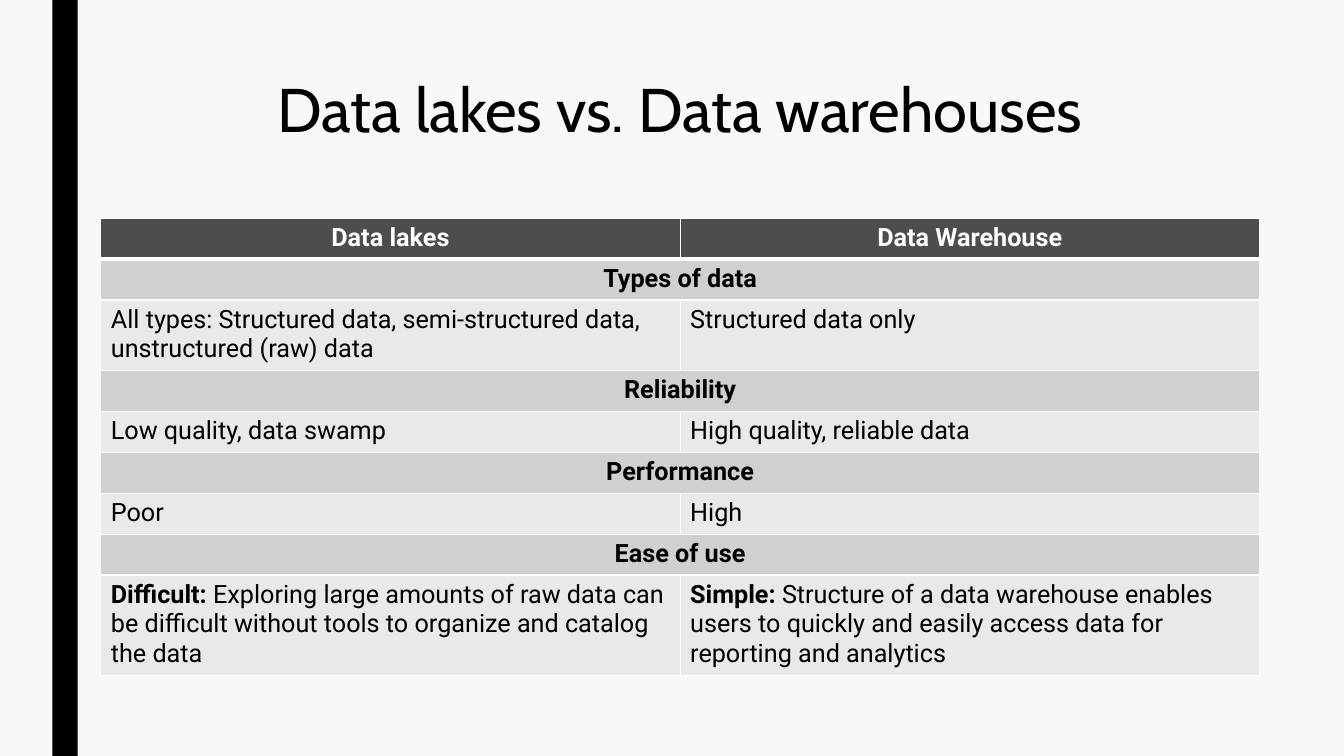
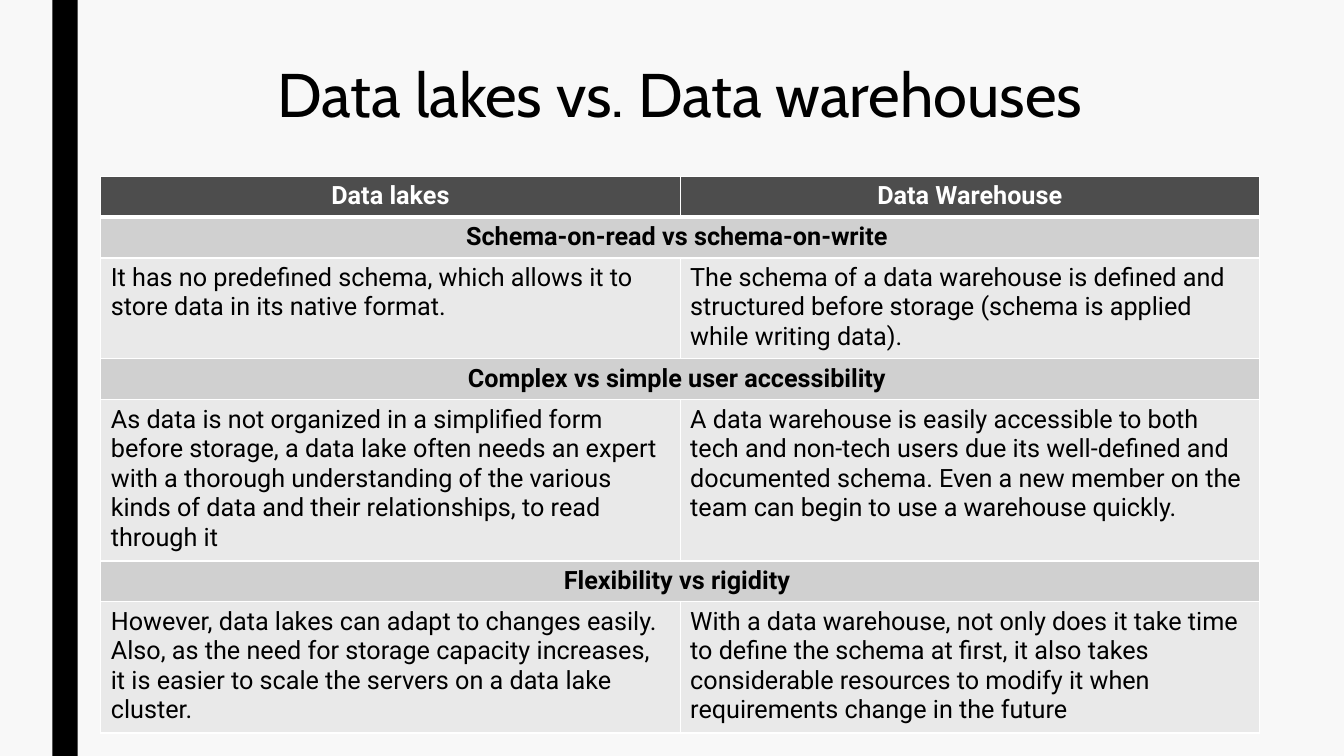
"""Build two slides that compare data lakes with data warehouses."""
from dataclasses import dataclass

from lxml.etree import Element, SubElement
from pptx import Presentation
from pptx.dml.color import RGBColor
from pptx.enum.shapes import MSO_SHAPE
from pptx.enum.text import MSO_ANCHOR, PP_ALIGN
from pptx.oxml.ns import qn
from pptx.presentation import Presentation as Deck
from pptx.slide import Slide
from pptx.table import Table, _Cell
from pptx.text.text import _Paragraph
from pptx.util import Cm, Length, Pt


@dataclass(frozen=True)
class Theme:
    background: RGBColor = RGBColor(0xF8, 0xF8, 0xF8)
    ink: RGBColor = RGBColor(0x00, 0x00, 0x00)
    white: RGBColor = RGBColor(0xFF, 0xFF, 0xFF)
    header: RGBColor = RGBColor(0x4D, 0x4D, 0x4D)
    section: RGBColor = RGBColor(0xD0, 0xD0, 0xD0)
    body: RGBColor = RGBColor(0xE9, 0xE9, 0xE9)
    title_font: str = "Cabin"
    table_font: str = "Roboto"
    title_size: Length = Pt(44)
    table_size: Length = Pt(18)
    thin_line: Length = Pt(1)
    thick_line: Length = Pt(3)


@dataclass(frozen=True)
class Span:
    text: str
    bold: bool = False


@dataclass(frozen=True)
class Section:
    heading: str
    lake: tuple[Span, ...]
    warehouse: tuple[Span, ...]


@dataclass(frozen=True)
class Comparison:
    title_top: Length
    table_top: Length
    sections: tuple[Section, ...]


THEME = Theme()
SLIDE_WIDTH, SLIDE_HEIGHT = Cm(33.87), Cm(19.05)
TITLE = "Data lakes vs. Data warehouses"
COLUMN_HEADINGS = ("Data lakes", "Data Warehouse")
COLUMN_WIDTH, ROW_HEIGHT = Cm(14.6), Cm(1.03)

COMPARISONS = (
    Comparison(Cm(1.9), Cm(5.5), (
        Section(
            "Types of data",
            (Span("All types: Structured data, semi-structured data, unstructured (raw) data"),),
            (Span("Structured data only"),),
        ),
        Section(
            "Reliability",
            (Span("Low quality, data swamp"),),
            (Span("High quality, reliable data"),),
        ),
        Section("Performance", (Span("Poor"),), (Span("High"),)),
        Section(
            "Ease of use",
            (
                Span("Difficult: ", True),
                Span("Exploring large amounts of raw data can be difficult without tools "
                     "to organize and catalog the data"),
            ),
            (
                Span("Simple:", True),
                Span(" Structure of a data warehouse enables users to quickly and easily "
                     "access data for reporting and analytics"),
            ),
        ),
    )),
    Comparison(Cm(1.52), Cm(4.44), (
        Section(
            "Schema-on-read vs schema-on-write ",
            (Span("It has no predefined schema, which allows it to store data in its "
                  "native format."),),
            (Span("The schema of a data warehouse is defined and structured before storage "
                  "(schema is applied while writing data)."),),
        ),
        Section(
            "Complex vs simple user accessibility ",
            (Span("As data is not organized in a simplified form before storage, a data lake "
                  "often needs an expert with a thorough understanding of the various kinds "
                  "of data and their relationships, to read through it"),),
            (Span("A data warehouse is easily accessible to both tech and non-tech users due "
                  "its well-defined and documented schema. Even a new member on the team can "
                  "begin to use a warehouse quickly."),),
        ),
        Section(
            "Flexibility vs rigidity ",
            (Span("However, data lakes can adapt to changes easily. Also, as the need for "
                  "storage capacity increases, it is easier to scale the servers on a data "
                  "lake cluster."),),
            (Span("With a data warehouse, not only does it take time to define the schema at "
                  "first, it also takes considerable resources to modify it when requirements "
                  "change in the future"),),
        ),
    )),
)


def add_run(para: _Paragraph, span: Span, font: str, size: Length, color: RGBColor) -> None:
    run = para.add_run()
    run.text = span.text
    run.font.name = font
    run.font.size = size
    run.font.bold = span.bold
    run.font.color.rgb = color


def set_borders(cell: _Cell, top: Length, bottom: Length) -> None:
    properties = cell._tc.get_or_add_tcPr()
    widths = {"a:lnL": THEME.thin_line, "a:lnR": THEME.thin_line, "a:lnT": top, "a:lnB": bottom}
    for position, (tag, width) in enumerate(widths.items()):
        line = Element(qn(tag), w=str(int(width)))
        fill = SubElement(line, qn("a:solidFill"))
        SubElement(fill, qn("a:srgbClr"), val=str(THEME.white))
        properties.insert(position, line)


def fill_cell(cell: _Cell, spans: tuple[Span, ...], fill: RGBColor,
              color: RGBColor = THEME.ink, align: PP_ALIGN = PP_ALIGN.LEFT) -> None:
    cell.fill.solid()
    cell.fill.fore_color.rgb = fill
    para = cell.text_frame.paragraphs[0]
    para.alignment = align
    for span in spans:
        add_run(para, span, THEME.table_font, THEME.table_size, color)


def draw_borders(table: Table) -> None:
    for index, row in enumerate(table.rows):
        top = THEME.thick_line if index == 1 else THEME.thin_line
        bottom = THEME.thick_line if index == 0 else THEME.thin_line
        for cell in row.cells:
            set_borders(cell, top, bottom)


def add_comparison_table(page: Slide, top: Length, sections: tuple[Section, ...]) -> None:
    row_count = 1 + 2 * len(sections)
    table = page.shapes.add_table(
        row_count, 2, Cm(2.54), top, 2 * COLUMN_WIDTH, row_count * ROW_HEIGHT).table
    table.horz_banding = False
    for column in table.columns:
        column.width = COLUMN_WIDTH
    for row in table.rows:
        row.height = ROW_HEIGHT
    for column_index, heading in enumerate(COLUMN_HEADINGS):
        fill_cell(table.cell(0, column_index), (Span(heading, True),),
                  THEME.header, THEME.white, PP_ALIGN.CENTER)
    for index, section in enumerate(sections):
        heading_row = 1 + 2 * index
        heading_cell = table.cell(heading_row, 0)
        heading_cell.merge(table.cell(heading_row, 1))
        fill_cell(heading_cell, (Span(section.heading, True),),
                  THEME.section, align=PP_ALIGN.CENTER)
        for column_index, spans in enumerate((section.lake, section.warehouse)):
            fill_cell(table.cell(heading_row + 1, column_index), spans, THEME.body)
    draw_borders(table)


def add_side_band(page: Slide) -> None:
    band = page.shapes.add_shape(MSO_SHAPE.RECTANGLE, Cm(1.32), 0, Cm(0.64), SLIDE_HEIGHT)
    band.shadow.inherit = False
    band.fill.solid()
    band.fill.fore_color.rgb = THEME.ink
    band.line.fill.background()


def add_title(page: Slide, top: Length) -> None:
    box = page.shapes.add_textbox(Cm(3.81), top, Cm(26.67), Cm(4.11))
    frame = box.text_frame
    frame.word_wrap = True
    frame.vertical_anchor = MSO_ANCHOR.TOP
    para = frame.paragraphs[0]
    para.alignment = PP_ALIGN.CENTER
    para.line_spacing = 0.89
    add_run(para, Span(TITLE), THEME.title_font, THEME.title_size, THEME.ink)


def add_page(deck: Deck, comparison: Comparison) -> None:
    page = deck.slides.add_slide(deck.slide_layouts[6])
    add_side_band(page)
    add_title(page, comparison.title_top)
    add_comparison_table(page, comparison.table_top, comparison.sections)


def main() -> None:
    deck = Presentation()
    deck.slide_width, deck.slide_height = SLIDE_WIDTH, SLIDE_HEIGHT
    background = deck.slide_master.background.fill
    background.solid()
    background.fore_color.rgb = THEME.background
    for comparison in COMPARISONS:
        add_page(deck, comparison)
    deck.save("out.pptx")


if __name__ == "__main__":
    main()
